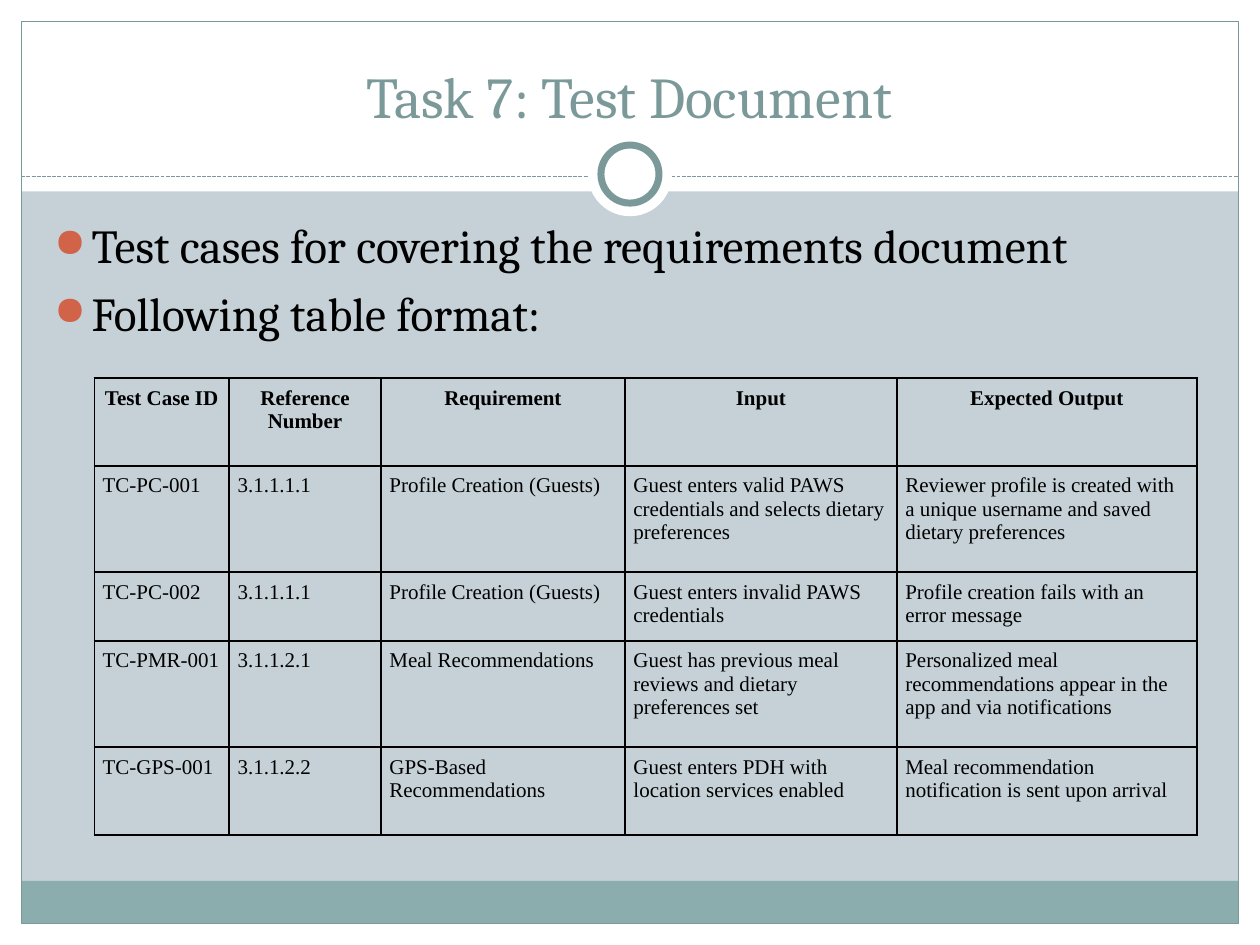
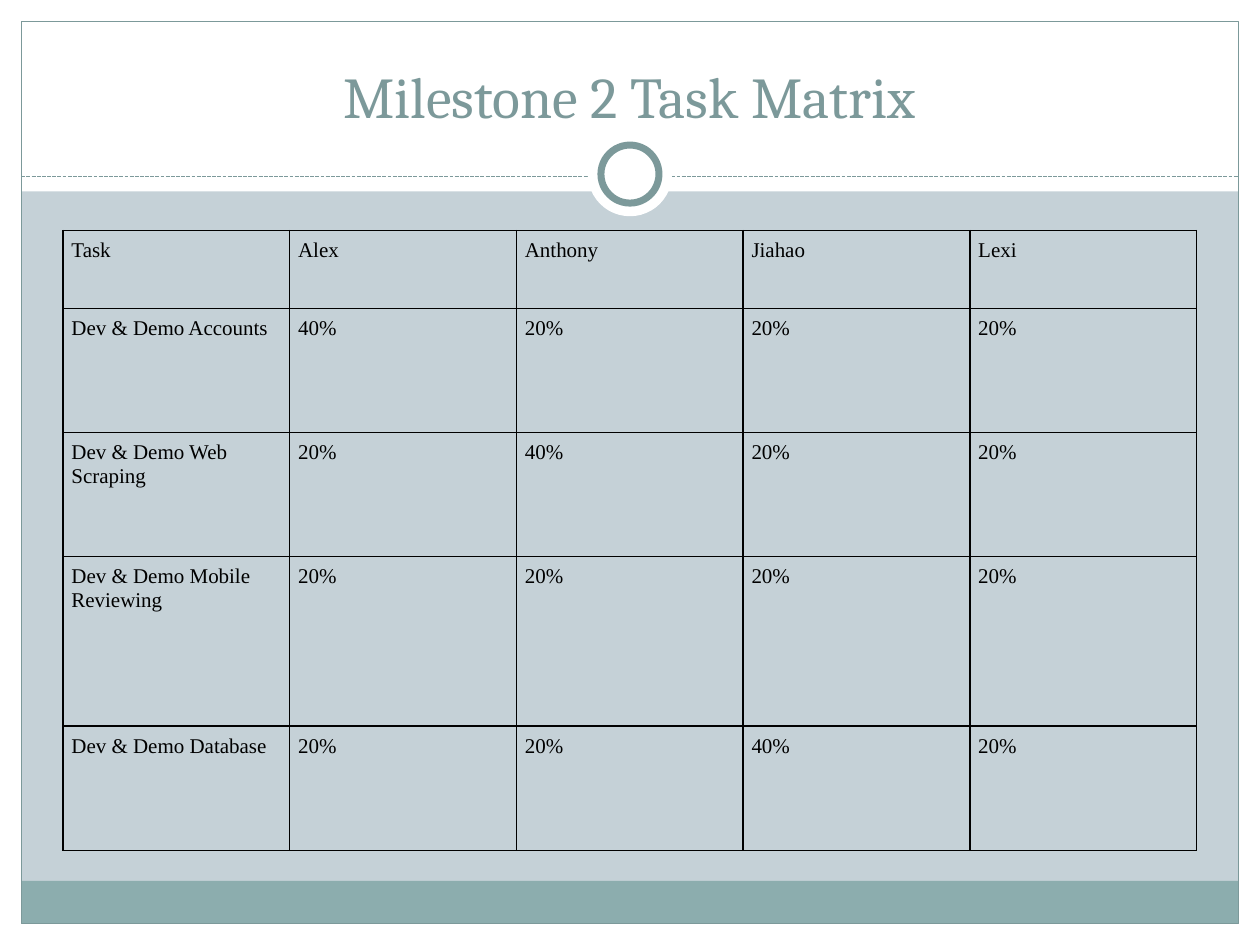
from lxml import etree
from pptx import Presentation
from pptx.dml.color import RGBColor
from pptx.enum.dml import MSO_LINE
from pptx.enum.shapes import MSO_CONNECTOR, MSO_SHAPE
from pptx.enum.text import MSO_ANCHOR, PP_ALIGN
from pptx.oxml.ns import qn
from pptx.util import Cm, Pt

RECTANGLE = MSO_SHAPE.RECTANGLE
OVAL = MSO_SHAPE.OVAL
STRAIGHT = MSO_CONNECTOR.STRAIGHT
DASHED = MSO_LINE.SQUARE_DOT
TOP, BOTTOM = MSO_ANCHOR.TOP, MSO_ANCHOR.BOTTOM
LEFT, CENTER = PP_ALIGN.LEFT, PP_ALIGN.CENTER

BACKGROUND = RGBColor(0xC5, 0xD1, 0xD7)
WHITE = RGBColor(0xFF, 0xFF, 0xFF)
BLACK = RGBColor(0x00, 0x00, 0x00)
SLATE = RGBColor(0x7C, 0x99, 0x9A)
TEAL = RGBColor(0x8C, 0xAD, 0xAE)
ORANGE = RGBColor(0xD1, 0x63, 0x49)

# Page geometry in centimetres
WIDTH, HEIGHT = 25.4, 19.05
MARGIN = 0.43
HEADER_HEIGHT = 3.86
DIVIDER_Y = 3.56
RING_Y = 3.51
FOOTER_HEIGHT = 0.86

# Text formats
TITLE = {"name": "Cambria", "size": Pt(33), "color": SLATE}
BODY = {"name": "Cambria", "size": Pt(27), "color": BLACK}
CELL = {"name": "Times New Roman", "size": Pt(12), "color": BLACK, "bold": False}
HEADING = {**CELL, "bold": True}

TEST_CASES = [
    ["Test Case ID", "Reference Number", "Requirement", "Input", "Expected Output"],
    ["TC-PC-001", "3.1.1.1.1", "Profile Creation (Guests)",
     "Guest enters valid PAWS credentials and selects dietary preferences",
     "Reviewer profile is created with a unique username and saved dietary preferences"],
    ["TC-PC-002", "3.1.1.1.1", "Profile Creation (Guests)",
     "Guest enters invalid PAWS credentials",
     "Profile creation fails with an error message"],
    ["TC-PMR-001", "3.1.1.2.1", "Meal Recommendations",
     "Guest has previous meal reviews and dietary preferences set",
     "Personalized meal recommendations appear in the app and via notifications"],
    ["TC-GPS-001", "3.1.1.2.2", "GPS-Based Recommendations",
     "Guest enters PDH with location services enabled",
     "Meal recommendation notification is sent upon arrival"],
]

TASK_MATRIX = [
    ["Task", "Alex", "Anthony", "Jiahao", "Lexi"],
    ["Dev & Demo Accounts", "40%", "20%", "20%", "20%"],
    ["Dev & Demo Web Scraping", "20%", "40%", "20%", "20%"],
    ["Dev & Demo Mobile Reviewing", "20%", "20%", "20%", "20%"],
    ["Dev & Demo Database", "20%", "20%", "40%", "20%"],
]


def apply_format(font, text_format):
    for name, value in text_format.items():
        if name == "color":
            font.color.rgb = value
        else:
            setattr(font, name, value)


def add_panel(slide, kind, left, top, width, height, fill=None, line=None, weight=0.75):
    shape = slide.shapes.add_shape(kind, Cm(left), Cm(top), Cm(width), Cm(height))
    shape.shadow.inherit = False
    if fill is None:
        shape.fill.background()
    else:
        shape.fill.solid()
        shape.fill.fore_color.rgb = fill
    if line is None:
        shape.line.fill.background()
    else:
        shape.line.color.rgb = line
        shape.line.width = Pt(weight)


def add_divider(slide):
    connector = slide.shapes.add_connector(
        STRAIGHT, Cm(MARGIN), Cm(DIVIDER_Y), Cm(WIDTH - MARGIN), Cm(DIVIDER_Y))
    connector.line.color.rgb = SLATE
    connector.line.width = Pt(0.75)
    connector.line.dash_style = DASHED
    etree.SubElement(connector._element.spPr, qn("a:effectLst"))


def add_disc(slide, diameter, **style):
    add_panel(slide, OVAL, (WIDTH - diameter) / 2, RING_Y - diameter / 2,
              diameter, diameter, WHITE, **style)


def add_bullet(paragraph):
    properties = paragraph._p.get_or_add_pPr()
    properties.set("marL", str(Cm(0.76)))
    properties.set("indent", str(-Cm(0.76)))
    color = etree.SubElement(properties, qn("a:buClr"))
    etree.SubElement(color, qn("a:srgbClr"), val=str(ORANGE))
    etree.SubElement(properties, qn("a:buSzPct"), val="85000")
    etree.SubElement(properties, qn("a:buChar"), char="●")


def add_text(slide, left, top, width, height, lines, text_format,
             anchor=TOP, align=LEFT, bulleted=False):
    frame = slide.shapes.add_textbox(Cm(left), Cm(top), Cm(width), Cm(height)).text_frame
    frame.word_wrap = True
    frame.vertical_anchor = anchor
    for index, line in enumerate(lines):
        paragraph = frame.paragraphs[0] if index == 0 else frame.add_paragraph()
        paragraph.alignment = align
        if bulleted:
            add_bullet(paragraph)
        if index:
            paragraph.space_before = Pt(6.5)
        run = paragraph.add_run()
        run.text = line
        apply_format(run.font, text_format)


def add_borders(cell):
    properties = cell._tc.get_or_add_tcPr()
    for side in ("lnL", "lnR", "lnT", "lnB"):
        border = etree.SubElement(properties, qn(f"a:{side}"), w=str(Pt(1)))
        fill = etree.SubElement(border, qn("a:solidFill"))
        etree.SubElement(fill, qn("a:srgbClr"), val=str(BLACK))


def fill_cell(cell, text, text_format, align):
    for side in ("left", "right", "top", "bottom"):
        setattr(cell, f"margin_{side}", Cm(0.17))
    add_borders(cell)
    cell.fill.background()
    paragraph = cell.text_frame.paragraphs[0]
    paragraph.alignment = align
    run = paragraph.add_run()
    run.text = text
    apply_format(run.font, text_format)


def add_grid(slide, left, top, widths, heights, rows, heading=CELL, heading_align=LEFT):
    table = slide.shapes.add_table(
        len(rows), len(widths), Cm(left), Cm(top), Cm(sum(widths)), Cm(sum(heights))).table
    table.first_row = table.horz_banding = False
    for column, width in zip(table.columns, widths):
        column.width = Cm(width)
    for row, height in zip(table.rows, heights):
        row.height = Cm(height)
    for row_index, texts in enumerate(rows):
        style = (CELL, LEFT) if row_index else (heading, heading_align)
        for column_index, text in enumerate(texts):
            fill_cell(table.cell(row_index, column_index), text, *style)


def add_base_slide(presentation, title):
    slide = presentation.slides.add_slide(presentation.slide_layouts[6])
    slide.background.fill.solid()
    slide.background.fill.fore_color.rgb = BACKGROUND
    inner_width = WIDTH - 2 * MARGIN
    bottom = HEIGHT - MARGIN

    # White page edges and header
    for box in ((0, bottom, WIDTH, MARGIN), (0, 0, WIDTH, HEADER_HEIGHT),
                (0, 0, MARGIN, HEIGHT), (WIDTH - MARGIN, 0, MARGIN, HEIGHT)):
        add_panel(slide, RECTANGLE, *box, WHITE)

    # Footer band and frame
    add_panel(slide, RECTANGLE, MARGIN, bottom - FOOTER_HEIGHT, inner_width, FOOTER_HEIGHT, TEAL)
    add_panel(slide, RECTANGLE, MARGIN, MARGIN, inner_width, HEIGHT - 2 * MARGIN, line=SLATE)

    # Divider with ring
    add_divider(slide)
    add_disc(slide, 1.7)
    add_disc(slide, 1.17, line=SLATE, weight=4)

    add_text(slide, 0.84, 0.63, 23.7, 2.11, [title], TITLE, BOTTOM, CENTER)
    return slide


def main():
    presentation = Presentation()
    presentation.slide_width, presentation.slide_height = Cm(WIDTH), Cm(HEIGHT)

    # Test document
    slide = add_base_slide(presentation, "Task 7: Test Document")
    add_text(slide, 0.84, 4.24, 23.62, 12.7,
             ["Test cases for covering the requirements document", "Following table format:"],
             BODY, bulleted=True)
    add_grid(slide, 1.9, 7.62, [2.72, 3.06, 4.92, 5.48, 6.05], [1.77, 2.14, 1.39, 2.14, 1.77],
             TEST_CASES, HEADING, CENTER)

    # Task matrix
    slide = add_base_slide(presentation, "Milestone 2 Task Matrix")
    add_grid(slide, 1.27, 4.65, [4.57] * 5, [1.57, 2.5, 2.5, 3.42, 2.5], TASK_MATRIX)

    presentation.save("out.pptx")


if __name__ == "__main__":
    main()
